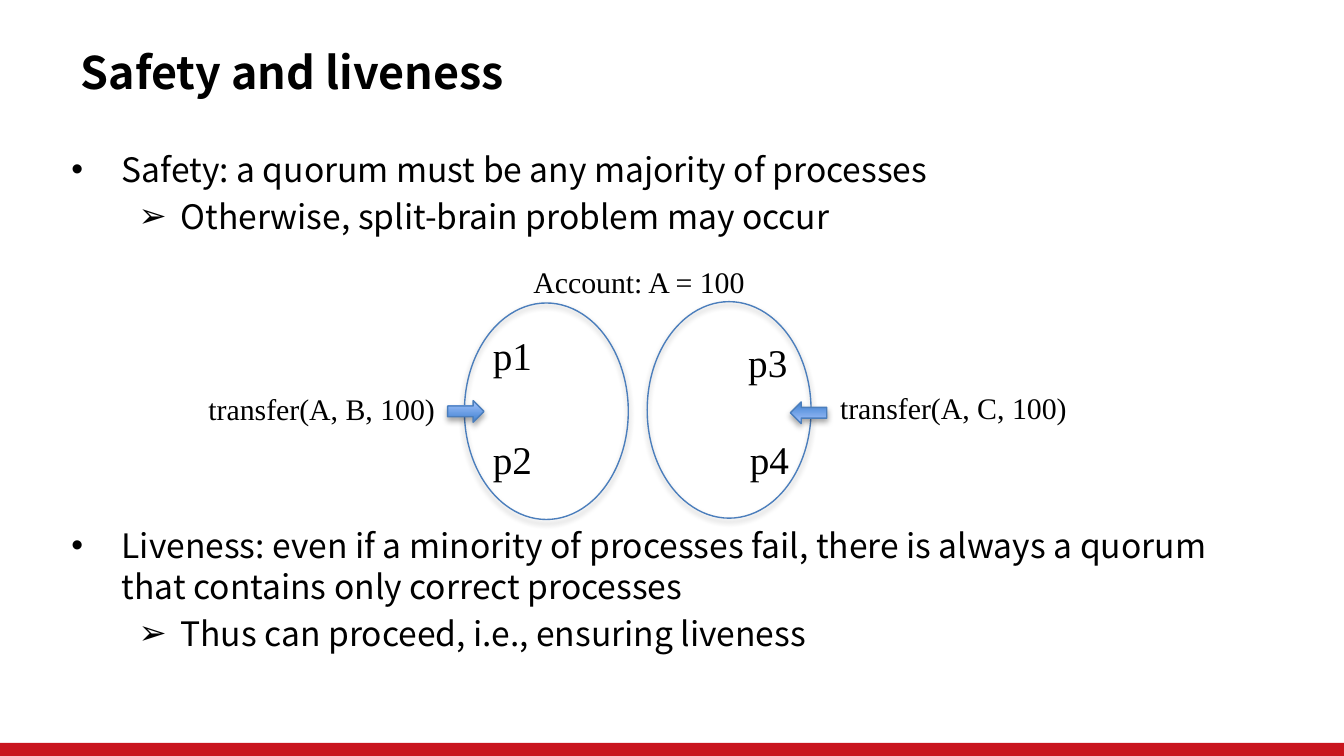
from lxml.etree import SubElement
from pptx import Presentation
from pptx.dml.color import RGBColor
from pptx.enum.shapes import MSO_SHAPE as Preset
from pptx.enum.text import MSO_ANCHOR as Anchor, MSO_AUTO_SIZE as AutoSize, PP_ALIGN as Align
from pptx.oxml.ns import qn
from pptx.util import Pt

COLOURS = {"text": "000000", "bar": "C9151E", "outline": "4B7EBC",
           "arrow_dark": "3F80CE", "arrow_light": "A4C4FF", "shadow": "000000"}
SANS, SERIF = "Noto Sans CJK SC", "Times New Roman"

# Bullet character, left margin and first-line indent for each level
LEVELS = [("•", 27, -27), ("➢", 58.5, -22.5)]

# Text, level, space before
BULLETS = [
    ("Safety: a quorum must be any majority of processes", 0, 0),
    ("Otherwise, split-brain problem may occur", 1, 3.2),
    ("Liveness: even if a minority of processes fail, there is always a quorum "
     "that contains only correct processes", 0, 154.2),
    ("Thus can proceed, i.e., ensuring liveness", 1, 3.2),
]

# Text, left, top
PROCESSES = [("p1", 257, 174.2), ("p2", 257, 229.7),
             ("p3", 393.8, 177.8), ("p4", 394.6, 229.7)]

# Text, left, top, width
CAPTIONS = [("Account: A = 100", 263.5, 137.5, 157.7),
            ("transfer(A, B, 100)", 87.1, 205.9, 170.6),
            ("transfer(A, C, 100)", 425.5, 205.2, 170.6)]


def colour(name):
    return RGBColor.from_string(COLOURS[name])


def place(shape, left, top, width, height):
    box = {"left": left, "top": top, "width": width, "height": height}
    for name, value in box.items():
        setattr(shape, name, Pt(value))


def write(paragraph, text, font_name, size, bold=False):
    run = paragraph.add_run()
    run.text = text
    formats = {"name": font_name, "size": Pt(size), "bold": bold}
    for name, value in formats.items():
        setattr(run.font, name, value)
    run.font.color.rgb = colour("text")


def set_frame(frame, wrap, anchor):
    formats = {"word_wrap": wrap, "auto_size": AutoSize.NONE, "vertical_anchor": anchor}
    for name, value in formats.items():
        setattr(frame, name, value)


def add_bullet(paragraph, level):
    character, margin, indent = LEVELS[level]
    paragraph.level = level
    properties = paragraph._p.get_or_add_pPr()
    properties.set("marL", str(Pt(margin)))
    properties.set("indent", str(Pt(indent)))
    SubElement(properties, qn("a:buFont"), typeface="Arial")
    SubElement(properties, qn("a:buChar"), char=character)


def fill_title(title):
    place(title, 36, 20.9, 501, 35.3)
    set_frame(title.text_frame, False, Anchor.MIDDLE)
    paragraph = title.text_frame.paragraphs[0]
    paragraph.alignment = Align.LEFT
    write(paragraph, "Safety and liveness", SANS, 24, bold=True)


def fill_body(body):
    place(body, 31, 75.6, 648, 308.9)
    frame = body.text_frame
    set_frame(frame, True, Anchor.TOP)
    for index, (text, level, space) in enumerate(BULLETS):
        paragraph = frame.add_paragraph() if index else frame.paragraphs[0]
        add_bullet(paragraph, level)
        paragraph.space_before = Pt(space)
        paragraph.line_spacing = Pt(22)
        write(paragraph, text, SANS, 18)


def add_label(slide, text, left, top, width, height, size, wrap, align):
    label = slide.shapes.add_textbox(Pt(left), Pt(top), Pt(width), Pt(height))
    set_frame(label.text_frame, wrap, Anchor.TOP)
    paragraph = label.text_frame.paragraphs[0]
    paragraph.alignment = align
    write(paragraph, text, SERIF, size)


def add_shadow(shape):
    effects = shape._element.spPr.find(qn("a:effectLst"))
    shadow = SubElement(effects, qn("a:outerShdw"), blurRad=str(Pt(3.1)),
                        dist=str(Pt(1.8)), dir="5400000", rotWithShape="0")
    tint = SubElement(shadow, qn("a:srgbClr"), val=COLOURS["shadow"])
    SubElement(tint, qn("a:alpha"), val="35000")


def add_outlined(slide, preset, left, top, width, height, rotation):
    shape = slide.shapes.add_shape(preset, Pt(left), Pt(top), Pt(width), Pt(height))
    shape.rotation = rotation
    shape.line.color.rgb = colour("outline")
    shape.line.width = Pt(0.75)
    shape.shadow.inherit = False
    add_shadow(shape)
    return shape


def add_group_oval(slide, left, top):
    oval = add_outlined(slide, Preset.OVAL, left, top, 116, 87.8, 270)
    oval.fill.background()


def add_arrow(slide, left, top, rotation):
    arrow = add_outlined(slide, Preset.RIGHT_ARROW, left, top, 19.5, 11.6, rotation)
    arrow.fill.gradient()
    arrow.fill.gradient_angle = 90
    for stop, name in zip(arrow.fill.gradient_stops, ("arrow_dark", "arrow_light")):
        stop.color.rgb = colour(name)


def add_bar(slide):
    bar = slide.shapes.add_shape(Preset.RECTANGLE, 0, Pt(398), Pt(720), Pt(7))
    bar.fill.solid()
    bar.fill.fore_color.rgb = colour("bar")
    bar.line.fill.background()
    bar.shadow.inherit = False


def main():
    presentation = Presentation()
    presentation.slide_width, presentation.slide_height = Pt(720), Pt(405)
    slide = presentation.slides.add_slide(presentation.slide_layouts[1])

    # Footer bar, title and list
    add_bar(slide)
    fill_title(slide.shapes.title)
    fill_body(slide.placeholders[1])

    # Two process groups with their labels
    for text, left, top in PROCESSES:
        add_label(slide, text, left, top, 36, 32.4, 21, False, Align.LEFT)
    add_group_oval(slide, 332.6, 175.7)
    for text, left, top, width in CAPTIONS:
        add_label(slide, text, left, top, width, 26.6, 16, True, Align.CENTER)
    add_arrow(slide, 423.4, 215.3, 180)
    add_group_oval(slide, 234.7, 176.4)
    add_arrow(slide, 239.8, 214.6, 0)

    presentation.save("out.pptx")


if __name__ == "__main__":
    main()
